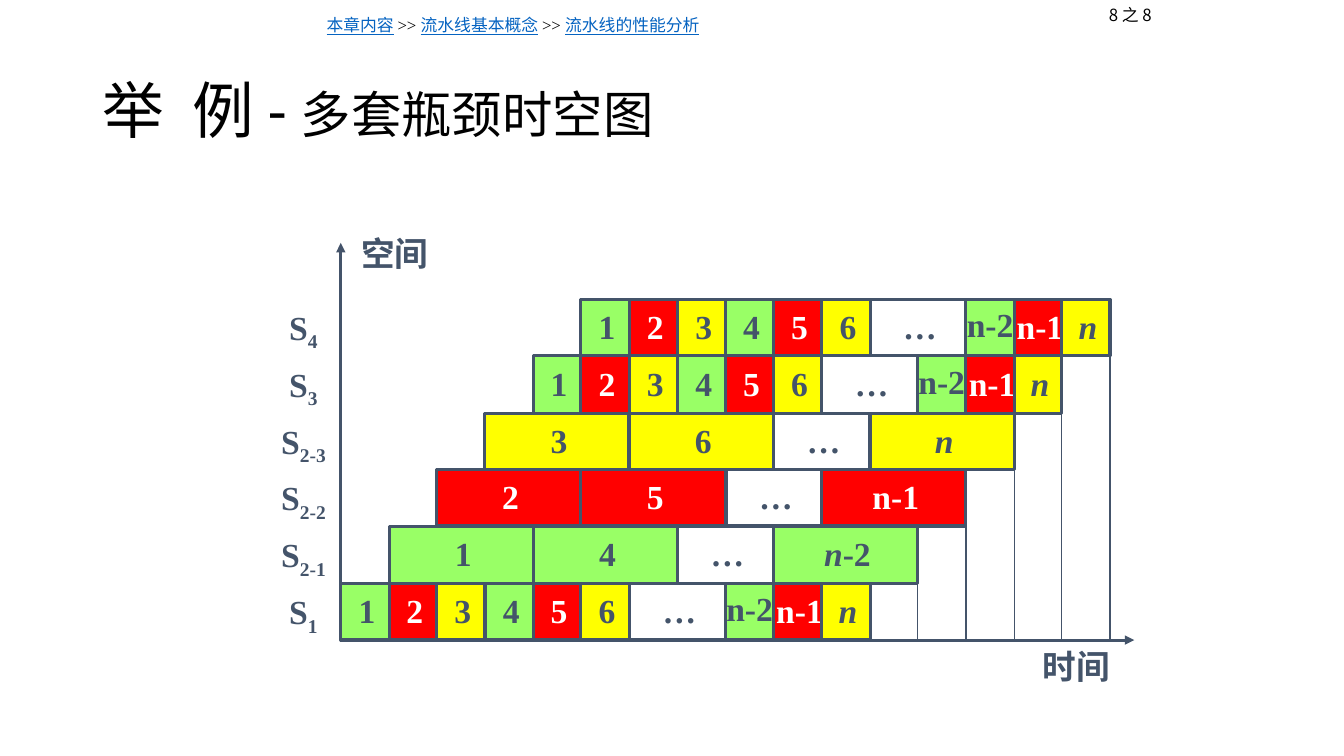
"""Builds a slide with the space-time chart of a pipeline with doubled bottleneck stages."""
import pptx
import pptx.util
import pptx.dml.color
import pptx.enum.shapes
import pptx.enum.text
import pptx.oxml.ns
import lxml.etree

HUES = {"ink": "44546A", "green": "99FF66", "red": "FF0000", "yellow": "FFFF00",
        "white": "FFFFFF", "black": "000000", "link": "0563C1"}
FILLS = {"1": "green", "4": "green", "n-2": "green", "2": "red", "5": "red",
         "n-1": "red", "3": "yellow", "6": "yellow", "n": "yellow"}
SERIF, SANS, PLAIN = "Times New Roman", "Noto Sans CJK SC", "Calibri"
LEFT, BASE = 338, 635
ALIGN = pptx.enum.text.PP_ALIGN
ANCHOR = pptx.enum.text.MSO_ANCHOR


def px(count):
    return pptx.util.Emu(count * 9144)


def hue(name):
    return pptx.dml.color.RGBColor.from_string(HUES[name])


def col(step):
    return LEFT + round(step * 763 / 16)


def row(step):
    return BASE - round(step * 338 / 6)


def sub(parent, tag, **attrs):
    return lxml.etree.SubElement(parent, pptx.oxml.ns.qn(tag), attrs)


class Deck:
    def __init__(self):
        self.file = pptx.Presentation()
        self.file.slide_width, self.file.slide_height = px(1333), px(750)
        self.slide = self.file.slides.add_slide(self.file.slide_layouts[5])
        self.shapes = self.slide.shapes

    def text(self, shape, runs, size=24, font=SERIF, color="ink", bold=True,
             align=ALIGN.CENTER, anchor=ANCHOR.MIDDLE, wrap=False,
             pads=(8, 4, 4, 0), space=0.8):
        frame = shape.text_frame
        frame.word_wrap, frame.vertical_anchor = wrap, anchor
        frame.margin_left, frame.margin_top, frame.margin_right, frame.margin_bottom = map(px, pads)
        para = frame.paragraphs[0]
        para.alignment, para.line_spacing = align, space
        para.font.size, para.font.name = pptx.util.Pt(size), font
        para.font.bold, para.font.color.rgb = bold, hue(color)
        for words, style in runs:
            run = para.add_run()
            run.text = words
            if "size" in style:
                run.font.size = pptx.util.Pt(style["size"])
            if "link" in style:
                run.font.underline, run.font.color.rgb = True, hue("link")
            if "italic" in style:
                run.font.italic = True
            props = run._r.get_or_add_rPr()
            for key in ("baseline", "spc"):
                if key in style:
                    props.set(key, style[key])
            sub(props, "a:ea", typeface=SANS)

    def title(self, box, runs):
        shape = self.shapes.title
        shape.left, shape.top, shape.width, shape.height = map(px, box)
        self.text(shape, runs, size=44, font=PLAIN, color="black", bold=False,
                  align=ALIGN.LEFT, wrap=True, pads=(10, 5, 10, 5), space=0.9)

    def label(self, box, runs, **style):
        self.text(self.shapes.add_textbox(*map(px, box)), runs, **style)

    def cell(self, box, runs, fill, **style):
        shape = self.shapes.add_shape(pptx.enum.shapes.MSO_SHAPE.RECTANGLE, *map(px, box))
        shape.shadow.inherit = False
        shape.line.color.rgb, shape.line.width = hue("ink"), pptx.util.Pt(2.25)
        if fill:
            shape.fill.solid()
            shape.fill.fore_color.rgb = hue(fill)
        else:
            shape.fill.background()
        self.text(shape, runs, color="white" if fill == "red" else "ink", **style)

    def line(self, ends, width, arrow=False):
        link = self.shapes.add_connector(pptx.enum.shapes.MSO_CONNECTOR.STRAIGHT, *map(px, ends))
        link.line.color.rgb, link.line.width = hue("ink"), pptx.util.Pt(width)
        props = link._element.spPr
        if arrow:
            sub(props.get_or_add_ln(), "a:tailEnd", type="triangle")
        sub(props, "a:effectLst")


def main():
    deck = Deck()
    deck.title((92, 40, 1150, 145), [("举", {}), (" ", {"spc": "1000"}), ("例 - ", {}),
                                     ("多套瓶颈时空图", {"size": 36})])
    note = dict(size=12, color="black", bold=False, anchor=ANCHOR.TOP, wrap=True,
                pads=(10, 5, 10, 5), space=1)
    deck.label((314, 10, 828, 30), [
        ("本章内容", {"link": True}), (" >> ", {}), ("流水线基本概念", {"link": True}),
        (" >> ", {}), ("流水线的性能分析", {"link": True})], align=ALIGN.LEFT, **note)
    deck.label((1075, 0, 92, 30), [("8 之 8", {})], font=SANS, **note)

    fine = ["1", "2", "3", "4", "5", "6", "…", "n-2", "n-1", "n"]
    stages = [("1", fine), ("2-1", ["1", "4", "…", "n-2"]), ("2-2", ["2", "5", "…", "n-1"]),
              ("2-3", ["3", "6", "…", "n"]), ("3", fine), ("4", fine)]
    for level, (stage, tasks) in enumerate(stages):
        top, tall = row(level + 1), row(level) - row(level + 1)
        deck.label((267, top, 64, tall), [("S", {}), (stage, {"baseline": "-25000"})])
        start = level
        for task in tasks:
            span = 2 if task == "…" else 1 if tasks is fine else 3
            runs = [(task, {"italic": True} if task == "n" else {})]
            style = {}
            if task == "n-2" and tasks is fine:
                style = {"pads": (0, 0, 0, 0)}
            elif task == "n-2":
                runs = [("n", {"italic": True}), ("-2", {})]
            deck.cell((col(start), top, col(start + span) - col(start), tall),
                      runs, FILLS.get(task), **style)
            start += span
        if level:
            deck.line((col(start), BASE, col(start), row(level)), 1)

    deck.line((LEFT, BASE, LEFT, 241), 2.25, arrow=True)
    deck.line((LEFT, BASE, 1125, BASE), 2.25, arrow=True)
    deck.label((1022, 635, 87, 56), [("时间", {})])
    deck.label((338, 225, 103, 56), [("空间", {})])
    deck.file.save("out.pptx")


if __name__ == "__main__":
    main()
